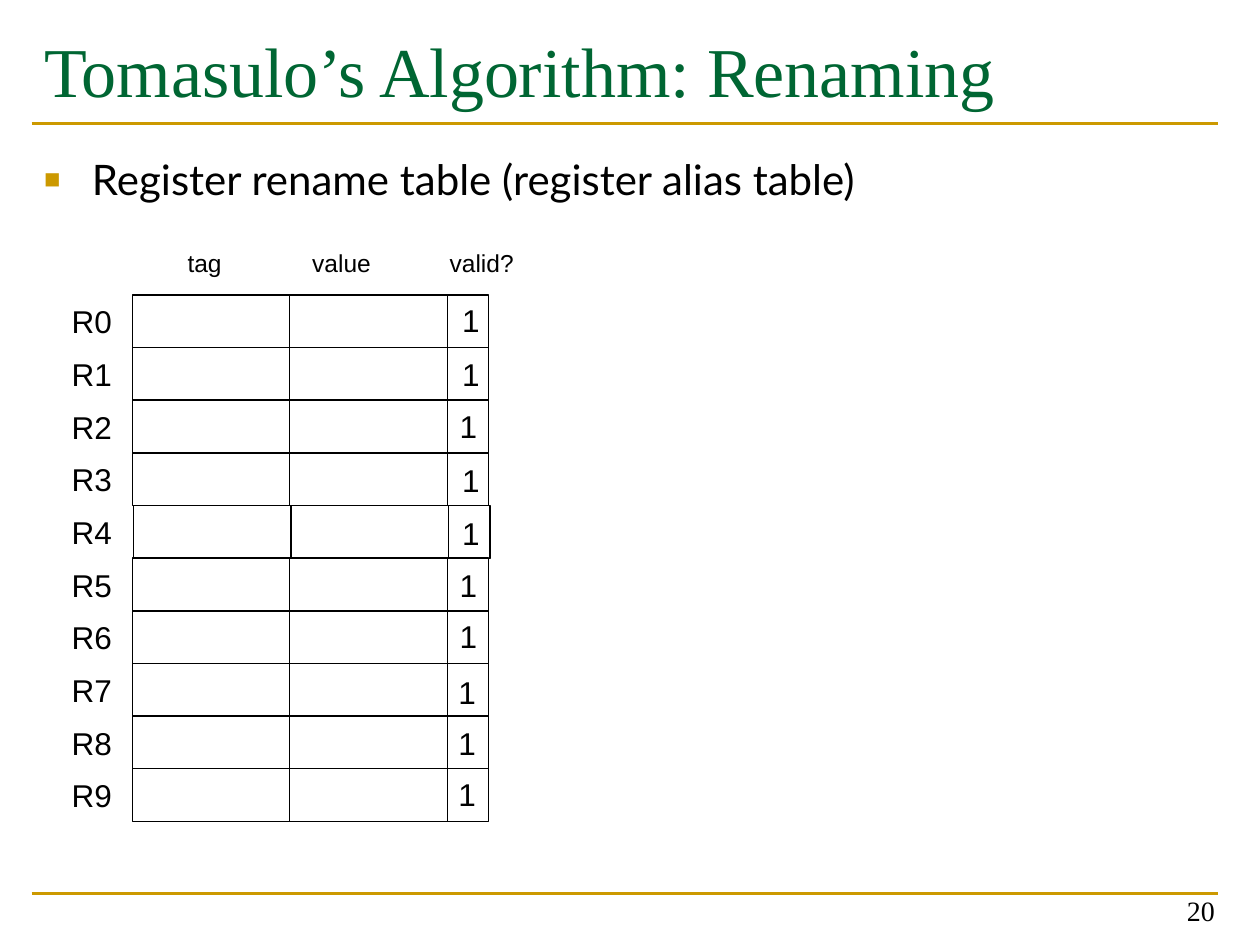
from lxml.etree import SubElement
from pptx import Presentation
from pptx.dml.color import RGBColor
from pptx.enum.shapes import MSO_CONNECTOR, MSO_SHAPE
from pptx.enum.text import MSO_ANCHOR, MSO_AUTO_SIZE, PP_ALIGN
from pptx.oxml.ns import qn
from pptx.util import Inches, Pt

BLACK, GREEN, GOLD = "000000", "006633", "CC9900"
SERIF, SANS, BODY = "Times New Roman", "Arial", "Lato"


def color(code):
    return RGBColor.from_string(code)


class Deck:
    """Hold the style and the current slide, and draw each kind of element."""

    def __init__(self):
        self.file = Presentation()
        self.file.slide_width, self.file.slide_height = Inches(10), Inches(7.5)
        self.slide = self.file.slides.add_slide(self.file.slide_layouts[1])
        self.shapes = self.slide.shapes

    def text(self, shape, words, size, font, ink=BLACK, align=PP_ALIGN.LEFT,
             anchor=MSO_ANCHOR.TOP, wrap=True):
        frame = shape.text_frame
        frame.auto_size = MSO_AUTO_SIZE.NONE
        frame.word_wrap = wrap
        frame.vertical_anchor = anchor
        para = frame.paragraphs[0]
        para.alignment = align
        para.space_before = Pt(0)
        run = para.add_run()
        run.text = words
        run.font.size, run.font.name = Pt(size), font
        run.font.color.rgb = color(ink)
        return para

    def place(self, shape, x, y, w, h):
        shape.left, shape.top = Inches(x), Inches(y)
        shape.width, shape.height = Inches(w), Inches(h)

    def title(self, words):
        shape = self.shapes.title
        self.place(shape, 0.25, 0.17, 9.42, 1.17)
        self.text(shape, words, 40, SERIF, GREEN)

    def bullet(self, words):
        shape = self.slide.placeholders[1]
        self.place(shape, 0.25, 1.17, 9.42, 5.84)
        props = self.text(shape, words, 24, BODY)._p.get_or_add_pPr()
        props.set("marL", str(Inches(0.38)))
        props.set("indent", str(-Inches(0.38)))
        tint = SubElement(props, qn("a:buClr"))
        SubElement(tint, qn("a:srgbClr"), val=GOLD)
        SubElement(props, qn("a:buSzPct"), val="65000")
        SubElement(props, qn("a:buFont"), typeface=SANS)
        SubElement(props, qn("a:buChar"), char="■")

    def rule(self, y):
        line = self.shapes.add_connector(
            MSO_CONNECTOR.STRAIGHT, Inches(0.25), Inches(y), Inches(9.67), Inches(y))
        line.line.color.rgb = color(GOLD)
        line.line.width = Pt(1.5)
        SubElement(line._element.spPr, qn("a:effectLst"))

    def cell(self, x, y, w, h):
        box = self.shapes.add_shape(
            MSO_SHAPE.RECTANGLE, Inches(x), Inches(y), Inches(w), Inches(h))
        box.shadow.inherit = False
        box.fill.background()
        box.line.color.rgb = color(BLACK)
        box.line.width = Pt(0.75)

    def label(self, words, x, y, w, h, size=18, font=SANS, **style):
        box = self.shapes.add_textbox(Inches(x), Inches(y), Inches(w), Inches(h))
        self.text(box, words, size, font, **style)


def main():
    deck = Deck()
    for y in (7.09, 0.98):
        deck.rule(y)
    deck.bullet("Register rename table (register alias table)")
    deck.title("Tomasulo’s Algorithm: Renaming")
    deck.label("20", 7.41, 6.91, 2.33, 0.5, 16, SERIF,
               align=PP_ALIGN.RIGHT, anchor=MSO_ANCHOR.BOTTOM)

    for head, x, w in (("tag", 1.39, 0.47), ("value", 2.38, 0.67), ("valid?", 3.47, 0.71)):
        deck.label(head, x, 1.92, w, 0.34, 14, wrap=False)

    top, high = 2.34, 0.42
    step = (6.1 - top) / 9
    marks = ((3.57, 2.34), (3.57, 2.77), (3.55, 3.18), (3.57, 3.61), (3.57, 4.03),
             (3.55, 4.44), (3.55, 4.85), (3.54, 5.29), (3.54, 5.7), (3.54, 6.1))
    for row, (left, mark) in enumerate(marks):
        y = top + row * step
        shift = 0.01 if row == 4 else 0
        for x, w in ((1.05, 1.25), (2.3, 1.25), (3.55, 0.33)):
            deck.cell(x + shift, y, w, high)
        deck.label(f"R{row}", 0.47, y, 0.58, high, anchor=MSO_ANCHOR.MIDDLE, wrap=False)
        deck.label("1", left, mark, 0.34, 0.4, wrap=False)

    deck.file.save("out.pptx")


if __name__ == "__main__":
    main()
